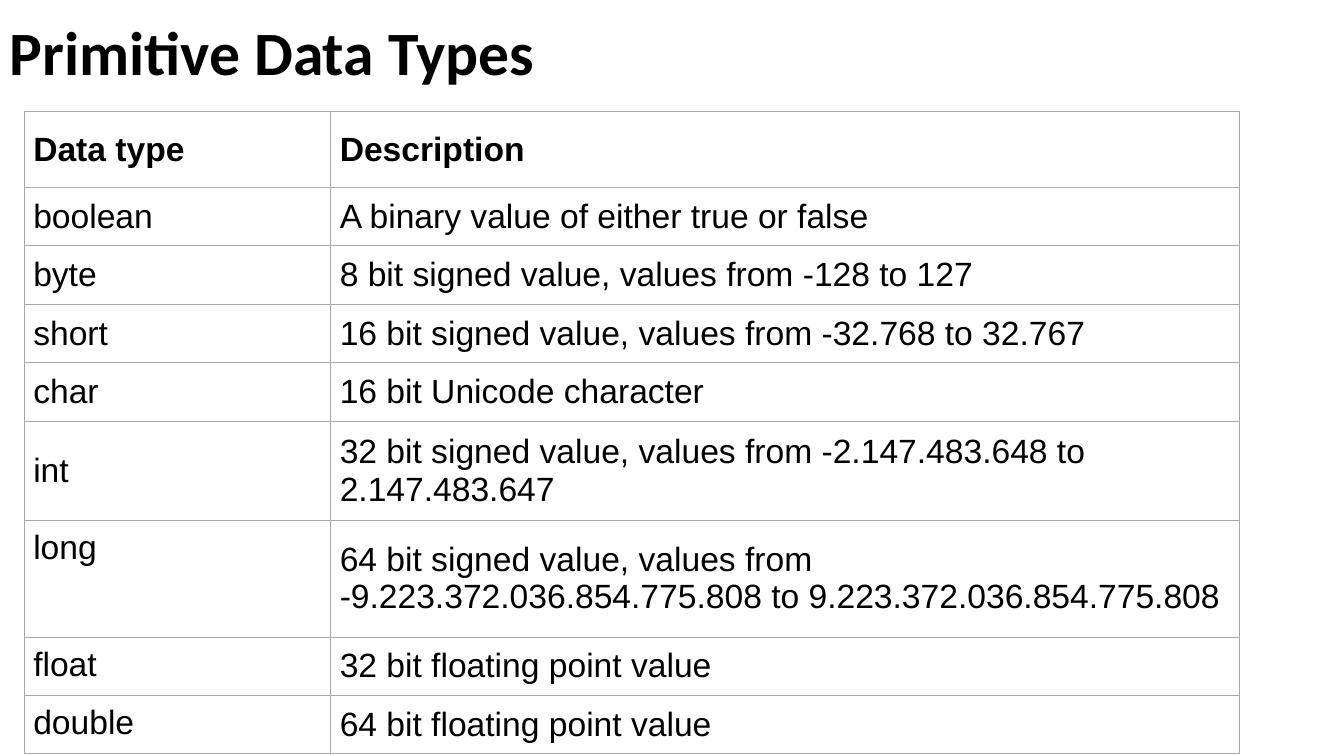
import pptx
import pptx.dml.color
import pptx.enum.text
import pptx.oxml.ns
import pptx.util
from lxml import etree
from pptx.util import Inches

BLACK = pptx.dml.color.RGBColor(0x00, 0x00, 0x00)
WHITE = pptx.dml.color.RGBColor(0xFF, 0xFF, 0xFF)
GREY = pptx.dml.color.RGBColor(0xAA, 0xAA, 0xAA)

ANCHOR = pptx.enum.text.MSO_ANCHOR

HEADER = ("Data type", "Description")
DATA_TYPES = [
    ("boolean", "A binary value of either true or false"),
    ("byte", "8 bit signed value, values from -128 to 127"),
    ("short", "16 bit signed value, values from -32.768 to 32.767"),
    ("char", "16 bit Unicode character"),
    ("int", "32 bit signed value, values from -2.147.483.648 to 2.147.483.647"),
    ("long", "64 bit signed value, values from -9.223.372.036.854.775.808 "
             "to 9.223.372.036.854.775.808"),
    ("float", "32 bit floating point value"),
    ("double", "64 bit floating point value"),
]
TOP_ANCHORED = ("long", "float", "double")
COLUMN_WIDTHS = (3.04, 9.01)
ROW_HEIGHT = 0.53
SPECIAL_HEIGHTS = {"Data type": 0.75, "int": 0.85, "long": 1.16}
CELL_MARGIN = 0.09


def write_text(tf, text, size=24, font="Arial", bold=False, color=BLACK,
               line_spacing=None):
    p = tf.paragraphs[0]
    if line_spacing:
        p.line_spacing = line_spacing
    r = p.add_run()
    r.text = text
    r.font.size = pptx.util.Pt(size)
    r.font.name = font
    r.font.bold = bold
    r.font.color.rgb = color


def add_title(slide, text):
    sp = slide.shapes.add_textbox(0, 0, Inches(11.5), Inches(1.11))
    tf = sp.text_frame
    tf.word_wrap = True
    tf.vertical_anchor = ANCHOR.MIDDLE
    write_text(tf, text, size=44, font="Calibri", bold=True, line_spacing=0.9)


def set_borders(cell, color, width):
    qn = pptx.oxml.ns.qn
    tc_pr = cell._tc.get_or_add_tcPr()
    for side in ("a:lnL", "a:lnR", "a:lnT", "a:lnB"):
        ln = etree.SubElement(tc_pr, qn(side), w=str(pptx.util.Pt(width)))
        fill = etree.SubElement(ln, qn("a:solidFill"))
        etree.SubElement(fill, qn("a:srgbClr"), val=str(color))


def format_cell(cell, text, bold, anchor):
    set_borders(cell, GREY, 0.75)
    cell.fill.solid()
    cell.fill.fore_color.rgb = WHITE
    cell.margin_left = cell.margin_right = Inches(CELL_MARGIN)
    cell.margin_top = cell.margin_bottom = Inches(CELL_MARGIN)
    cell.vertical_anchor = anchor
    write_text(cell.text_frame, text, bold=bold)


def add_type_table(slide):
    rows = [HEADER] + DATA_TYPES
    heights = [SPECIAL_HEIGHTS.get(name, ROW_HEIGHT) for name, _ in rows]
    table = slide.shapes.add_table(
        len(rows), len(HEADER), Inches(0.24), Inches(1.11),
        Inches(sum(COLUMN_WIDTHS)), Inches(sum(heights))).table
    table.horz_banding = False
    for column, width in zip(table.columns, COLUMN_WIDTHS):
        column.width = Inches(width)
    for i, (row, height) in enumerate(zip(rows, heights)):
        table.rows[i].height = Inches(height)
        for j, text in enumerate(row):
            anchor = ANCHOR.TOP if text in TOP_ANCHORED else ANCHOR.MIDDLE
            format_cell(table.cell(i, j), text, bold=i == 0, anchor=anchor)


def main():
    prs = pptx.Presentation()
    prs.slide_width = Inches(13.33)
    prs.slide_height = Inches(7.5)
    slide = prs.slides.add_slide(prs.slide_layouts[6])

    # Heading
    add_title(slide, "Primitive Data Types")

    # Table of types
    add_type_table(slide)

    prs.save("out.pptx")


if __name__ == "__main__":
    main()
